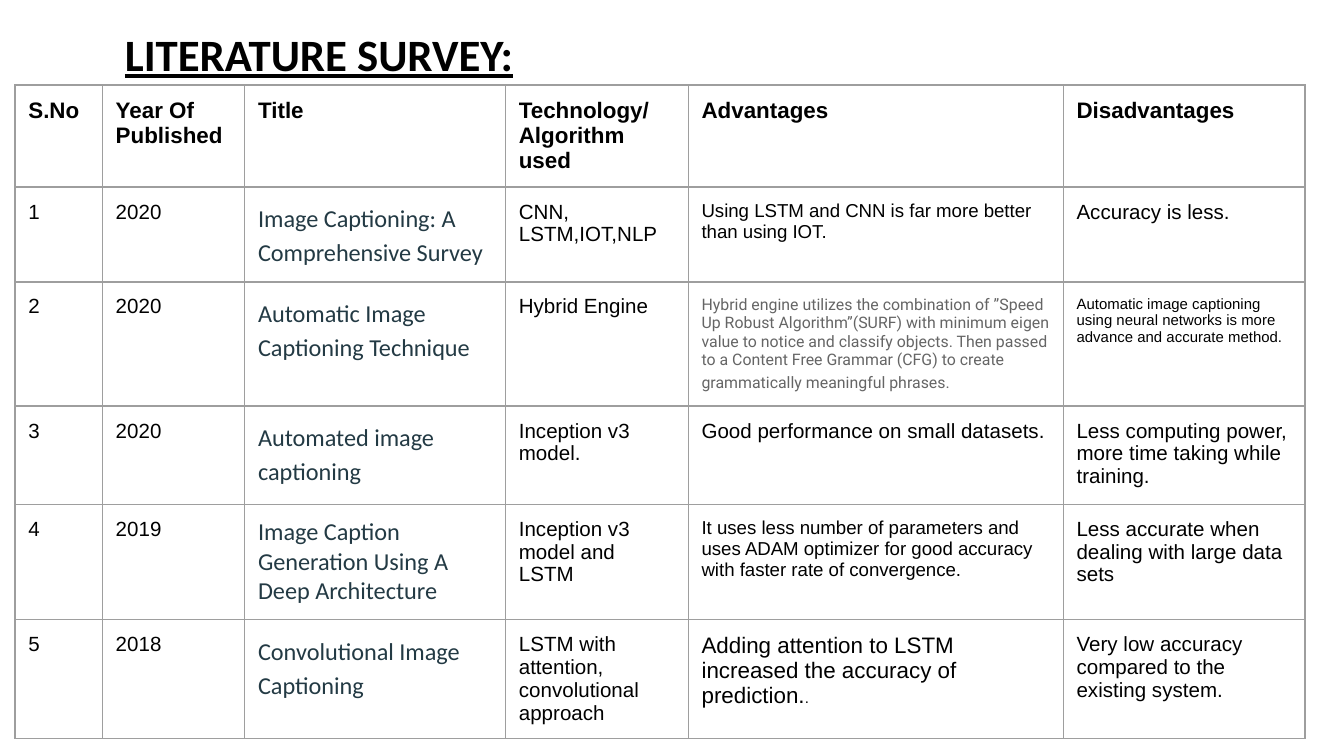
from dataclasses import dataclass

from lxml import etree
from pptx import Presentation
from pptx import util as u
from pptx.dml import color
from pptx.enum import text
from pptx.oxml import ns


@dataclass(frozen=True)
class Font:
    face: str
    size: float
    ink: str = "000000"
    bold: bool = False
    line: bool = False


class Theme:
    rule = "9E9E9E"
    rule_pt = 0.75
    inset = 7.2
    loose = 1.15
    title = Font("Calibri", 24, bold=True, line=True)
    head = Font("Arial", 12, bold=True)
    body = Font("Arial", 11)
    large = Font("Arial", 12)
    small = Font("Arial", 10)
    tiny = Font("Arial", 8)
    paper = Font("Calibri", 13, "233A44")
    quote = Font("Roboto", 8.5, "656565")


class Page:
    def __init__(self, slide, theme):
        self.slide = slide
        self.theme = theme

    def style(self, run, font):
        f = run.font
        f.name = font.face
        f.size = u.Pt(font.size)
        f.bold = font.bold
        f.underline = font.line
        f.color.rgb = color.RGBColor.from_string(font.ink)

    def fill_text(self, frame, words, font):
        frame.text = words
        for run in frame.paragraphs[0].runs:
            self.style(run, font)

    def pad(self, item):
        inset = u.Pt(self.theme.inset)
        item.margin_left = item.margin_right = inset
        item.margin_top = item.margin_bottom = inset

    def label(self, words, font, left, top, width, height):
        box = self.slide.shapes.add_textbox(*map(u.Pt, (left, top, width, height)))
        frame = box.text_frame
        frame.word_wrap = True
        frame.auto_size = text.MSO_AUTO_SIZE.SHAPE_TO_FIT_TEXT
        self.pad(frame)
        self.fill_text(frame, words, font)

    def border(self, cell):
        props = cell._tc.get_or_add_tcPr()
        for side in "LRTB":
            line = etree.SubElement(props, ns.qn(f"a:ln{side}"), w=str(u.Pt(self.theme.rule_pt)))
            fill = etree.SubElement(line, ns.qn("a:solidFill"))
            etree.SubElement(fill, ns.qn("a:srgbClr"), val=self.theme.rule)

    def cell(self, cell, words, font, tail=None, gap=None):
        self.pad(cell)
        self.border(cell)
        cell.fill.background()
        self.fill_text(cell.text_frame, words, font)
        para = cell.text_frame.paragraphs[0]
        if gap:
            para.line_spacing = gap
        if tail:
            run = para.add_run()
            run.text = tail[0]
            self.style(run, tail[1])

    def table(self, left, top, cols, rows, data, fonts, odd, tails, tight):
        shape = self.slide.shapes.add_table(
            len(rows), len(cols), *map(u.Pt, (left, top, sum(cols), sum(rows))))
        grid = shape.table
        grid.first_row = grid.horz_banding = False
        for col, width in zip(grid.columns, cols):
            col.width = u.Pt(width)
        for row, height in zip(grid.rows, rows):
            row.height = u.Pt(height)
        for r, line in enumerate(data):
            for c, words in enumerate(line):
                base = self.theme.head if r == 0 else fonts[c]
                font = odd.get((r, c), base)
                loose = font is self.theme.paper and (r, c) not in tight
                self.cell(grid.cell(r, c), words, font, tails.get((r, c)),
                          self.theme.loose if loose else None)


COLS = [46.8, 76.3, 139.7, 97.9, 200.9, 129.6]
ROWS = [43.9, 39.6, 54, 52.6, 59, 54.7]
DATA = [
    ["S.No", "Year Of Published", "Title", "Technology/ Algorithm used",
     "Advantages", "Disadvantages"],
    ["1", "2020", "Image Captioning: A Comprehensive Survey", "CNN, LSTM,IOT,NLP",
     "Using LSTM and CNN is far more better than using IOT.", "Accuracy is less."],
    ["2", "2020", "Automatic Image Captioning Technique", "Hybrid Engine",
     "Hybrid engine utilizes the combination of ”Speed Up Robust Algorithm”(SURF) "
     "with minimum eigen value to notice and classify objects. Then passed to a "
     "Content Free Grammar (CFG) to create grammatically meaningful phrases.",
     "Automatic image captioning using neural networks is more advance and accurate method."],
    ["3", "2020", "Automated image captioning", "Inception v3 model.",
     "Good performance on small datasets.",
     "Less computing power, more time taking while training."],
    ["4", "2019", "Image Caption Generation Using A Deep Architecture",
     "Inception v3 model and LSTM",
     "It uses less number of parameters and uses ADAM optimizer for good accuracy "
     "with faster rate of convergence.",
     "Less accurate when dealing with large data sets"],
    ["5", "2018", "Convolutional Image Captioning",
     "LSTM with attention, convolutional approach",
     "Adding attention to LSTM increased the accuracy of prediction.",
     "Very low accuracy compared to the existing system."],
]


def main():
    deck = Presentation()
    deck.slide_width, deck.slide_height = u.Pt(720), u.Pt(405)
    look = Theme()
    page = Page(deck.slides.add_slide(deck.slide_layouts[6]), look)
    fonts = [look.body, look.body, look.paper, look.body, look.body, look.body]
    odd = {(1, 4): look.small, (2, 4): look.quote, (2, 5): look.tiny,
           (4, 4): look.small, (5, 4): look.large}
    tails = {(2, 4): (" ", look.body), (4, 2): (" ", look.body), (5, 4): (".", look.tiny)}
    page.table(8, 45.5, COLS, ROWS, DATA, fonts, odd, tails, tight={(4, 2)})
    page.label("LITERATURE SURVEY:", look.title, 59.8, 7.2, 578, 43.9)
    deck.save("out.pptx")


if __name__ == "__main__":
    main()
